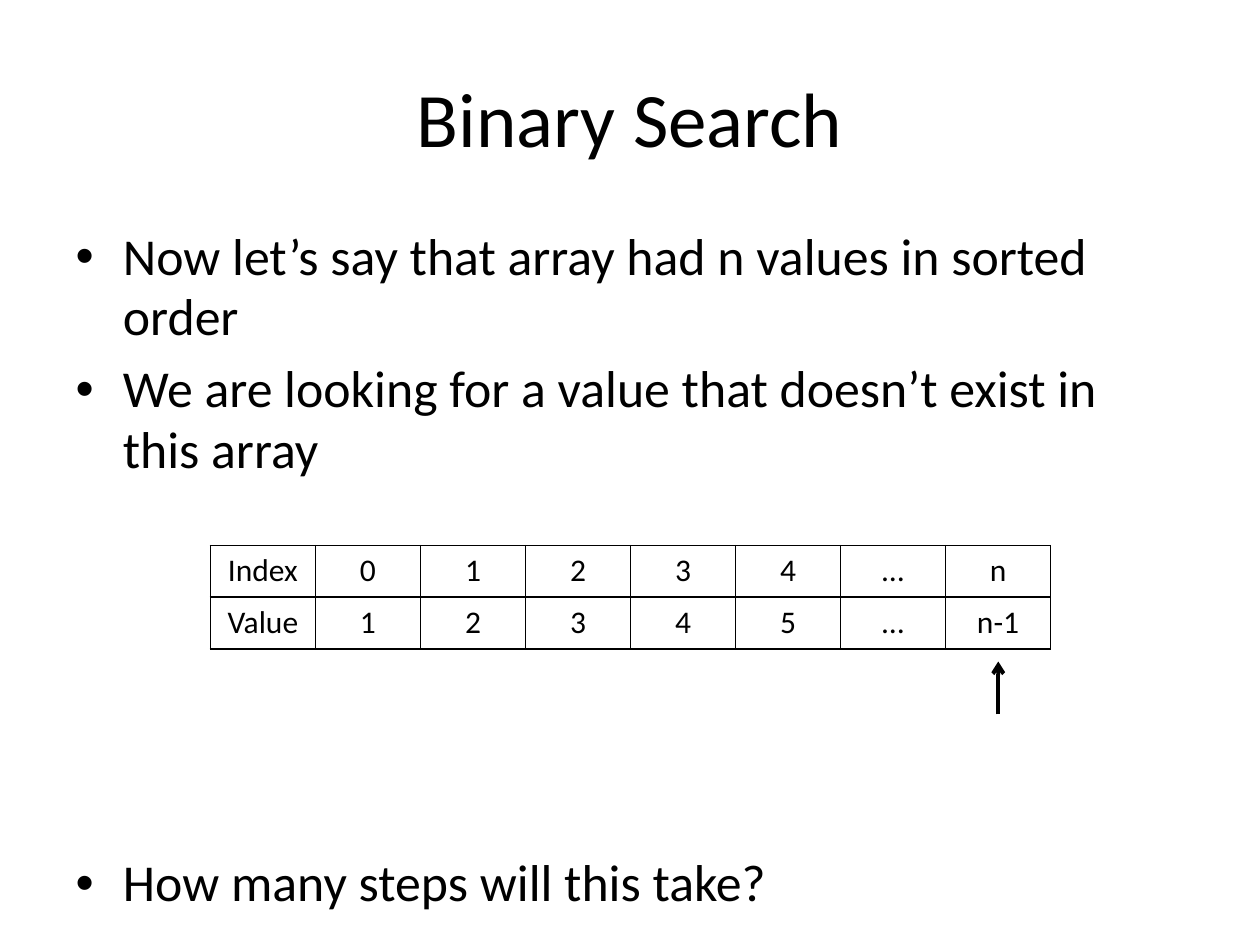
from dataclasses import dataclass

from lxml.etree import SubElement
from pptx import Presentation
from pptx.dml.color import RGBColor
from pptx.enum.shapes import MSO_CONNECTOR
from pptx.enum.text import MSO_ANCHOR, MSO_AUTO_SIZE, PP_ALIGN
from pptx.oxml.ns import qn
from pptx.util import Inches, Pt


@dataclass(frozen=True)
class Theme:
    font: str = "Calibri"
    ink: RGBColor = RGBColor(0, 0, 0)
    title: float = 44
    body: float = 29.6
    cell: float = 18


@dataclass(frozen=True)
class Bullet:
    text: str
    space_before: float = 7


THEME = Theme()
BULLETS = [
    Bullet("Now let’s say that array had n values in sorted order"),
    Bullet("We are looking for a value that doesn’t exist in this array"),
    Bullet("How many steps will this take?", space_before=213.5),
]
ARRAY_ROWS = [
    ["Index", "0", "1", "2", "3", "4", "…", "n"],
    ["Value", "1", "2", "3", "4", "5", "…", "n-1"],
]
TABLE_LEFT, TABLE_TOP, TABLE_WIDTH, ROW_HEIGHT = 1.67, 4.33, 6.67, 0.41
ARROW_TOP, ARROW_BOTTOM = 5.25, 5.67


def style(p, size: float, align: PP_ALIGN) -> None:
    p.alignment = align
    p.font.name = THEME.font
    p.font.size = Pt(size)
    p.font.color.rgb = THEME.ink


def place(sp, left: float, top: float, width: float, height: float) -> None:
    sp.left, sp.top = Inches(left), Inches(top)
    sp.width, sp.height = Inches(width), Inches(height)


def add_bullets(tf, bullets: list[Bullet]) -> None:
    tf.auto_size = MSO_AUTO_SIZE.NONE
    for i, bullet in enumerate(bullets):
        p = tf.add_paragraph() if i else tf.paragraphs[0]
        p.text = bullet.text
        p.line_spacing = 0.97
        p.space_before = Pt(bullet.space_before)
        style(p, THEME.body, PP_ALIGN.LEFT)


def outline_cell(cell) -> None:
    tc_pr = cell._tc.get_or_add_tcPr()
    for side in ("a:lnL", "a:lnR", "a:lnT", "a:lnB"):
        ln = SubElement(tc_pr, qn(side), w=str(Pt(1)))
        fill = SubElement(ln, qn("a:solidFill"))
        SubElement(fill, qn("a:srgbClr"), val=str(THEME.ink))


def add_array_table(s, rows: list[list[str]]) -> None:
    frame = s.shapes.add_table(
        len(rows), len(rows[0]), Inches(TABLE_LEFT), Inches(TABLE_TOP),
        Inches(TABLE_WIDTH), Inches(ROW_HEIGHT * len(rows)))
    table = frame.table
    table.first_row = table.horz_banding = False
    for r, values in enumerate(rows):
        for c, value in enumerate(values):
            cell = table.cell(r, c)
            cell.text = value
            style(cell.text_frame.paragraphs[0], THEME.cell, PP_ALIGN.CENTER)
            outline_cell(cell)
            cell.fill.background()


def add_arrow(s, x: float, start_y: float, end_y: float) -> None:
    arrow = s.shapes.add_connector(
        MSO_CONNECTOR.STRAIGHT, Inches(x), Inches(start_y), Inches(x), Inches(end_y))
    arrow.line.color.rgb = THEME.ink
    arrow.line.width = Pt(2.25)
    SubElement(arrow.line._get_or_add_ln(), qn("a:tailEnd"), type="arrow")
    SubElement(arrow._element.spPr, qn("a:effectLst"))


prs = Presentation()
prs.slide_width, prs.slide_height = Inches(10), Inches(7.5)
s = prs.slides.add_slide(prs.slide_layouts[1])

# Title
title = s.shapes.title
place(title, 0.5, 0.3, 9, 1.25)
title.text_frame.text = "Binary Search"
title.text_frame.vertical_anchor = MSO_ANCHOR.MIDDLE
style(title.text_frame.paragraphs[0], THEME.title, PP_ALIGN.CENTER)

# Bullets, with room for the array before the question
body = s.placeholders[1]
place(body, 0.5, 1.75, 9, 4.95)
add_bullets(body.text_frame, BULLETS)

# Array and the arrow under its last column
add_array_table(s, ARRAY_ROWS)
column_width = TABLE_WIDTH / len(ARRAY_ROWS[0])
add_arrow(s, TABLE_LEFT + TABLE_WIDTH - column_width / 2, ARROW_BOTTOM, ARROW_TOP)

prs.save("out.pptx")
